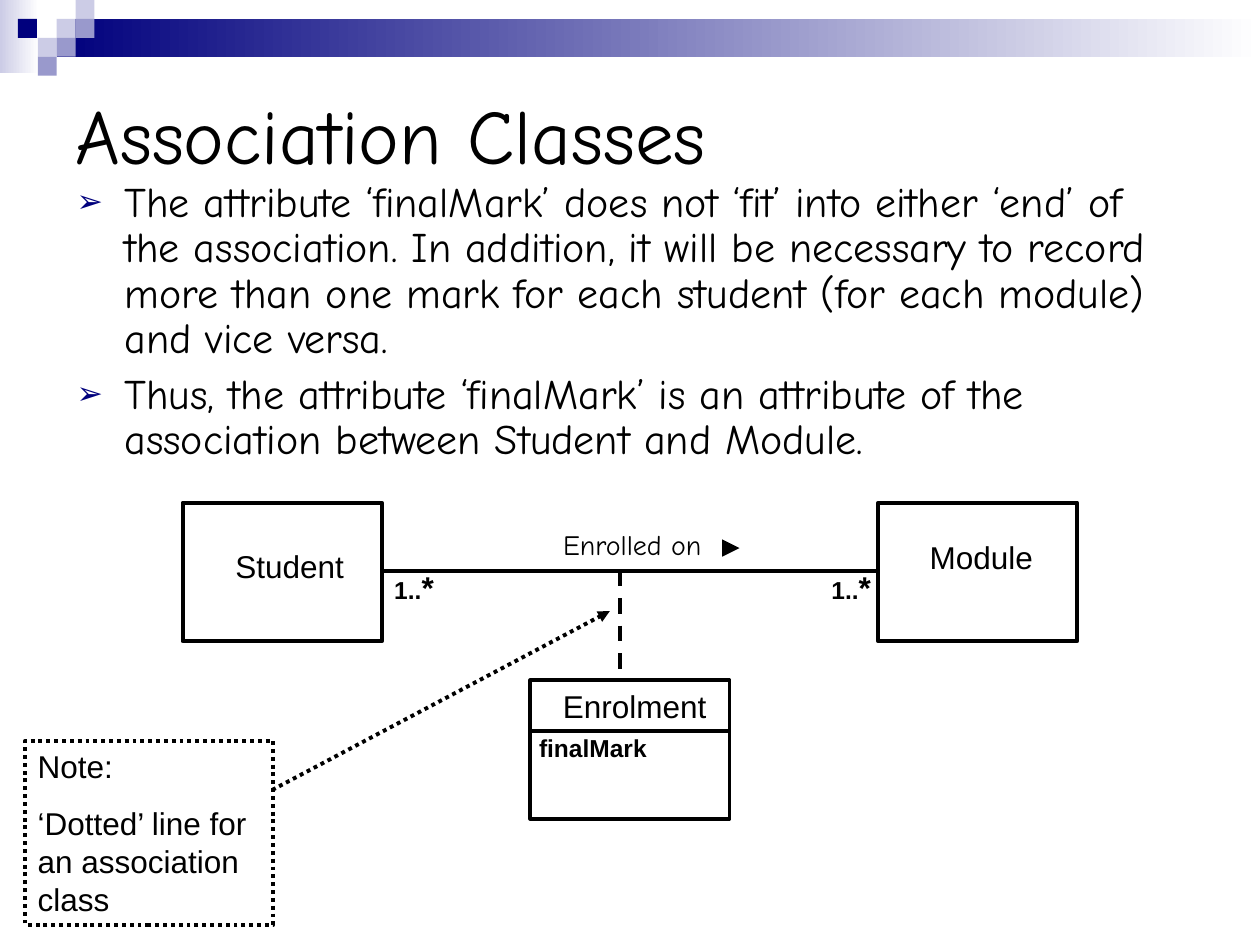
from lxml.etree import SubElement
from pptx import Presentation
from pptx.dml.color import RGBColor
from pptx.enum.dml import MSO_LINE
from pptx.enum.shapes import MSO_CONNECTOR, MSO_SHAPE
from pptx.enum.text import MSO_ANCHOR, PP_ALIGN
from pptx.oxml.ns import qn
from pptx.util import Inches, Pt

NAVY, PALE, LILAC, BLACK, WHITE = "00007D", "CCCCE6", "9999CC", "000000", "FFFFFF"
SANS, HAND = "Arial", "Comic Neue"

# Header decoration: gradient bands, then squares as (column, row, colour)
CELL = 0.15
BANDS = [((0, 0, 0.31, 0.58), PALE), ((3 * CELL, CELL, 10 - 3 * CELL, 2 * CELL), NAVY)]
SQUARES = [(3, 1, PALE), (4, 0, PALE), (4, 1, LILAC), (2, 2, PALE),
           (0.95, 1, NAVY), (3, 2, LILAC), (2, 3, LILAC)]

TITLE = "Association Classes"
BULLETS = [
    "The attribute ‘finalMark’ does not ‘fit’ into either ‘end’ of the association. "
    "In addition, it will be necessary to record more than one mark for each student "
    "(for each module) and vice versa.",
    "Thus, the attribute ‘finalMark’ is an attribute of the association between "
    "Student and Module.",
]
NOTE = ["Note:", "‘Dotted’ line for an association class"]

# Class diagram
CLASS_W, CLASS_H = 1.58, 1.1
STUDENT, MODULE, ENROLMENT = (1.45, 3.99), (6.97, 3.99), (4.21, 5.4)
LINK_Y, LINK_MIDDLE = 4.53, 4.92
NOTE_BOX = (0.2, 5.88, 1.97, 1.46)

# (text, place, size, font, bold, wrap, space before)
LABELS = [
    ("Student", (1.77, 4.29, 1.26, 0.4), 18, SANS, False, True, 11.2),
    ("Module", (7.28, 4.22, 1.02, 0.4), 18, SANS, False, False, 11.2),
    ("Enrolment", (4.37, 5.4, 1.34, 0.4), 18, SANS, False, False, 11.2),
    ("finalMark", (4.18, 5.77, 1.3, 0.34), 14, SANS, True, True, 8.8),
    ("Enrolled on", (4.37, 4.14, 1.42, 0.37), 16, HAND, False, True, 10),
]
MULTIPLICITY = [("1..", 14), ("*", 18)]
MULTIPLICITY_LEFTS = [3.03, 6.5]

# (from, to, width, dash, arrow end, arrow size)
LINES = [
    ((STUDENT[0] + CLASS_W, LINK_Y), (MODULE[0], LINK_Y), 2.25, None, None, None),
    ((ENROLMENT[0], 5.8), (ENROLMENT[0] + CLASS_W, 5.8), 2.25, None, None, None),
    ((LINK_MIDDLE, LINK_Y), (LINK_MIDDLE, ENROLMENT[1]), 2.25, MSO_LINE.DASH, None, None),
    ((5.87, 4.35), (5.79, 4.35), 0.75, None, "headEnd", "lg"),
    ((2.16, 6.27), (4.84, 4.85), 2.25, MSO_LINE.ROUND_DOT, "tailEnd", "med"),
]

deck = Presentation()
deck.slide_width, deck.slide_height = Inches(10), Inches(7.5)
slide = deck.slides.add_slide(deck.slide_layouts[6])


def rgb(value):
    return RGBColor.from_string(value)


def inches(values):
    return [Inches(value) for value in values]


def style(paragraph, size, font, bold=False, before=0):
    paragraph.font.size, paragraph.font.name = Pt(size), font
    paragraph.font.bold, paragraph.font.color.rgb = bold, rgb(BLACK)
    paragraph.space_before = Pt(before)
    paragraph.alignment = PP_ALIGN.LEFT


def add_rectangle(place):
    box = slide.shapes.add_shape(MSO_SHAPE.RECTANGLE, *inches(place))
    box.shadow.inherit = False
    box.fill.background()
    box.line.fill.background()
    return box


def add_outline(place, dash=None):
    box = add_rectangle(place)
    box.line.color.rgb, box.line.width = rgb(BLACK), Pt(2.25)
    if dash:
        box.line.dash_style = dash
    return box


def fill_text(frame, texts, size, font, bold=False, before=0):
    for index, text in enumerate(texts):
        paragraph = frame.add_paragraph() if index else frame.paragraphs[0]
        paragraph.text = text
        style(paragraph, size, font, bold, before)


def add_text(place, texts, size, font, bold=False, wrap=True, before=0):
    frame = slide.shapes.add_textbox(*inches(place)).text_frame
    frame.word_wrap = wrap
    fill_text(frame, texts, size, font, bold, before)
    return frame


def add_bullet(paragraph):
    props = paragraph._p.get_or_add_pPr()
    props.set("marL", str(Inches(0.38)))
    props.set("indent", str(-Inches(0.38)))
    SubElement(SubElement(props, qn("a:buClr")), qn("a:srgbClr"), val=NAVY)
    SubElement(props, qn("a:buSzPct"), val="75000")
    SubElement(props, qn("a:buFont"), typeface=SANS)
    SubElement(props, qn("a:buChar"), char="➢")
    props.append(props.find(qn("a:defRPr")))  # schema order: bullets come first


def add_line(start, end, width, dash, arrow_end, arrow_size):
    link = slide.shapes.add_connector(MSO_CONNECTOR.STRAIGHT, *inches(start + end))
    link.line.color.rgb, link.line.width = rgb(BLACK), Pt(width)
    if dash:
        link.line.dash_style = dash
    if arrow_end:
        SubElement(link.line._get_or_add_ln(), qn("a:" + arrow_end),
                   type="triangle", w=arrow_size, len=arrow_size)
    SubElement(link._element.spPr, qn("a:effectLst"))


# Header decoration
for place, colour in BANDS:
    band = add_rectangle(place)
    band.fill.gradient()
    band.fill.gradient_angle = 0
    for stop, stop_colour in zip(band.fill.gradient_stops, (colour, WHITE)):
        stop.color.rgb = rgb(stop_colour)
for column, row, colour in SQUARES:
    square = add_rectangle((column * CELL, row * CELL, CELL, CELL))
    square.fill.solid()
    square.fill.fore_color.rgb = rgb(colour)

# Title and bullets
add_text((0.5, 0.5, 9, 1.12), [TITLE], 44, HAND).vertical_anchor = MSO_ANCHOR.MIDDLE
for bullet in add_text((0.51, 1.39, 9, 2.44), BULLETS, 24, HAND, before=6).paragraphs:
    bullet.line_spacing = 0.9
    add_bullet(bullet)

# Classes, their links and labels
for corner in (STUDENT, MODULE, ENROLMENT):
    add_outline((*corner, CLASS_W, CLASS_H))
for line in LINES:
    add_line(*line)
for text, place, size, font, bold, wrap, before in LABELS:
    add_text(place, [text], size, font, bold, wrap, before)
for left in MULTIPLICITY_LEFTS:
    ends = add_text((left, 4.46, 0.55, 0.4), [""], 14, SANS, True, before=11.2).paragraphs[0]
    for text, size in MULTIPLICITY:
        run = ends.add_run()
        run.text, run.font.size = text, Pt(size)

# Note
note = add_outline(NOTE_BOX, MSO_LINE.ROUND_DOT).text_frame
note.word_wrap, note.vertical_anchor = True, MSO_ANCHOR.TOP
fill_text(note, NOTE, 18, SANS, before=11.2)

deck.save("out.pptx")
